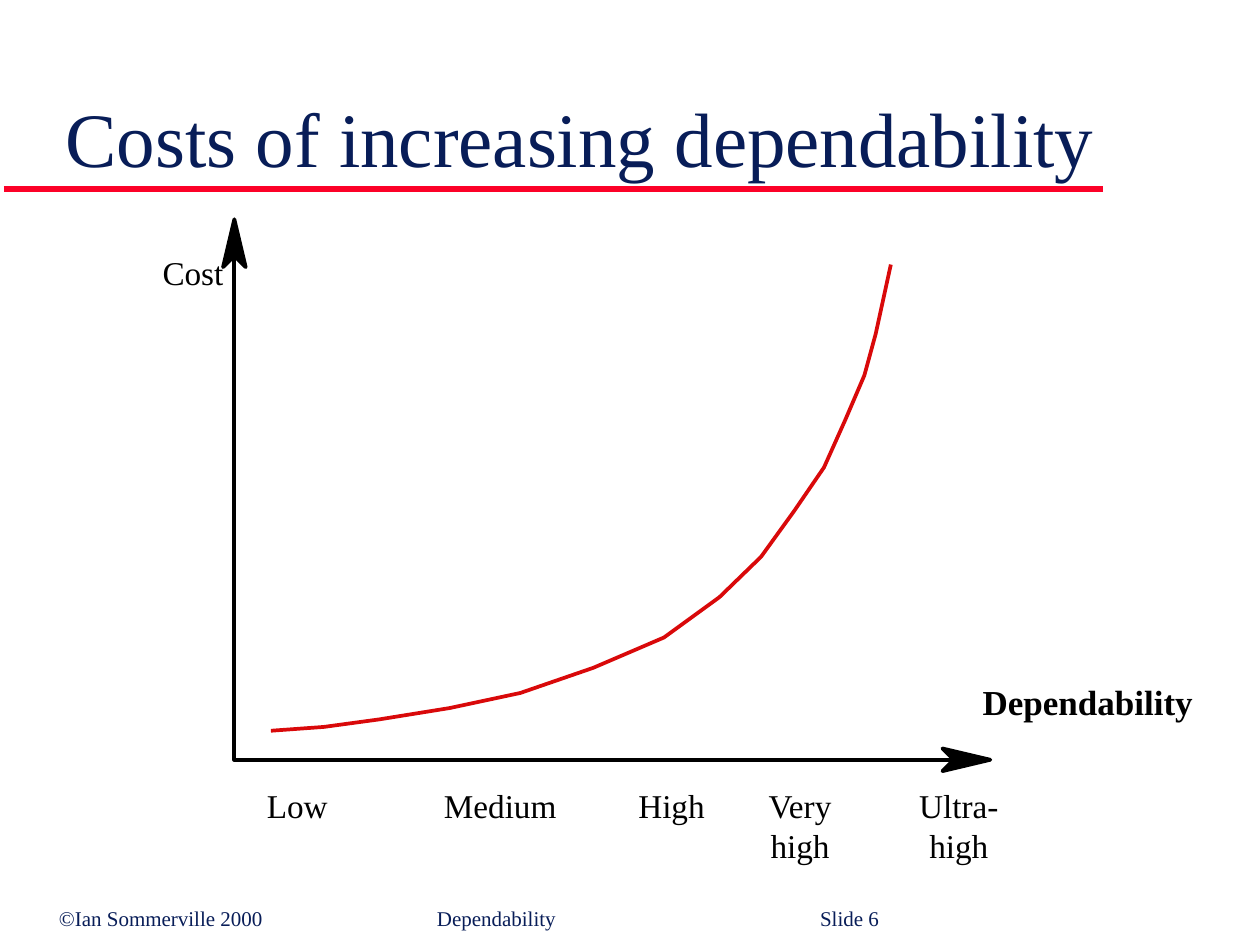
from lxml import etree
from pptx import Presentation
from pptx.dml.color import RGBColor
from pptx.enum.shapes import MSO_CONNECTOR
from pptx.enum.text import MSO_ANCHOR, MSO_AUTO_SIZE, PP_ALIGN
from pptx.oxml.ns import qn
from pptx.util import Inches, Pt

LEFT, CENTER = PP_ALIGN.LEFT, PP_ALIGN.CENTER
BOTTOM = MSO_ANCHOR.BOTTOM
NO_AUTOFIT = MSO_AUTO_SIZE.NONE
STRAIGHT = MSO_CONNECTOR.STRAIGHT

FONT = "Times New Roman"
COLORS = {"navy": "081D58", "rule": "FC0128", "axis": "000000", "curve": "D9090A"}
STROKE = 2.13

# Curve points, measured from the top left of the plot area
COST_CURVE = [
    (0.29, 3.91), (0.71, 3.88), (1.15, 3.82), (1.71, 3.73), (2.27, 3.61),
    (2.85, 3.41), (3.41, 3.17), (3.85, 2.85), (4.18, 2.53), (4.44, 2.17),
    (4.68, 1.82), (4.85, 1.44), (5.00, 1.09), (5.09, 0.76), (5.21, 0.21),
]
# Label lines and their centre along the dependability axis
LEVELS = [
    (["Low"], 0.50), (["Medium"], 2.11), (["High"], 3.47),
    (["Very", "high"], 4.49), (["Ultra-", "high"], 5.75),
]


def rgb(name):
    return RGBColor.from_string(COLORS[name])


def add_run(paragraph, text, size, color, bold=False):
    run = paragraph.add_run()
    run.text = text
    run.font.name = FONT
    run.font.size = Pt(size)
    run.font.bold = bold
    run.font.color.rgb = rgb(color)


def add_label(slide, box, lines, size, color, align=LEFT, inset=0, bold=False):
    frame = slide.shapes.add_textbox(*map(Inches, box)).text_frame
    frame.word_wrap = True
    frame.margin_left = frame.margin_right = Inches(inset)
    frame.margin_top = frame.margin_bottom = Inches(inset / 2)
    for index, line in enumerate(lines):
        paragraph = frame.add_paragraph() if index else frame.paragraphs[0]
        paragraph.alignment = align
        add_run(paragraph, line, size, color, bold)
    return frame


def add_outline(slide, points, color, closed=False):
    corners = [(Inches(x), Inches(y)) for x, y in points]
    builder = slide.shapes.build_freeform(*corners[0])
    builder.add_line_segments(corners[1:], close=closed)
    outline = builder.convert_to_shape()
    outline.shadow.inherit = False
    outline.line.color.rgb = rgb(color)
    outline.line.width = Pt(STROKE)
    if closed:
        outline.fill.solid()
        outline.fill.fore_color.rgb = rgb(color)
    else:
        outline.fill.background()


def add_arrowhead(slide, tip, back):
    """Barbed head at tip; back is the unit direction from the tip to its tail."""
    x, y = tip
    dx, dy = back
    shape = [(0, 0), (0.38, 0.09), (0.29, 0), (0.38, -0.09)]
    points = [(x + a * dx - b * dy, y + a * dy + b * dx) for a, b in shape]
    add_outline(slide, points, "axis", closed=True)


def add_heading(slide, box):
    left, top, width, height = box
    title = slide.shapes.title
    title.left, title.top, title.width, title.height = map(Inches, box)
    frame = title.text_frame
    frame.auto_size = NO_AUTOFIT
    frame.word_wrap = True
    frame.vertical_anchor = BOTTOM
    frame.paragraphs[0].alignment = LEFT
    add_run(frame.paragraphs[0], "Costs of increasing dependability", 44, "navy")

    # Red rule under the title
    y = Inches(top + height)
    rule = slide.shapes.add_connector(STRAIGHT, Inches(0.03), y, Inches(8.75), y)
    rule.line.color.rgb = rgb("rule")
    rule.line.width = Pt(4)
    etree.SubElement(rule._element.spPr, qn("a:effectLst"))


def add_cost_plot(slide, box):
    left, top, width, height = box
    right, bottom = left + width, top + height

    # Axes
    add_arrowhead(slide, (left, top - 0.15), (0, 1))
    add_outline(slide, [(left, top), (left, bottom), (right, bottom)], "axis")
    add_arrowhead(slide, (right + 0.14, bottom), (-1, 0))

    # Axis names and levels
    add_label(slide, (left - 0.57, top + 0.11, 0.55, 0.32), ["Cost"], 19, "axis")
    add_label(slide, (right - 0.02, bottom - 0.68, 1.87, 0.43),
              ["Dependability"], 20, "axis", inset=0.1, bold=True)
    for lines, center in LEVELS:
        label_box = (left + center - 0.5, bottom + 0.2, 1, 0.3 * len(lines))
        add_label(slide, label_box, lines, 19, "axis", CENTER)

    # Cost curve
    add_outline(slide, [(left + x, top + y) for x, y in COST_CURVE], "curve")


def add_footer(slide, box):
    frame = add_label(slide, box, ["©Ian Sommerville 2000\tDependability\tSlide 6"],
                      12, "navy", inset=0.1)
    properties = frame.paragraphs[0]._p.get_or_add_pPr()
    tabs = etree.SubElement(properties, qn("a:tabLst"))
    for position in (3, 6.04):
        etree.SubElement(tabs, qn("a:tab"), pos=str(Inches(position)), algn="l")


def main():
    deck = Presentation()
    deck.slide_width, deck.slide_height = Inches(10), Inches(7.5)
    slide = deck.slides.add_slide(deck.slide_layouts[5])
    add_heading(slide, (0.42, 0.29, 8.5, 1.21))
    add_footer(slide, (0.37, 7.14, 7.36, 0.3))
    add_cost_plot(slide, (1.86, 1.89, 5.86, 4.14))
    deck.save("out.pptx")


if __name__ == "__main__":
    main()
